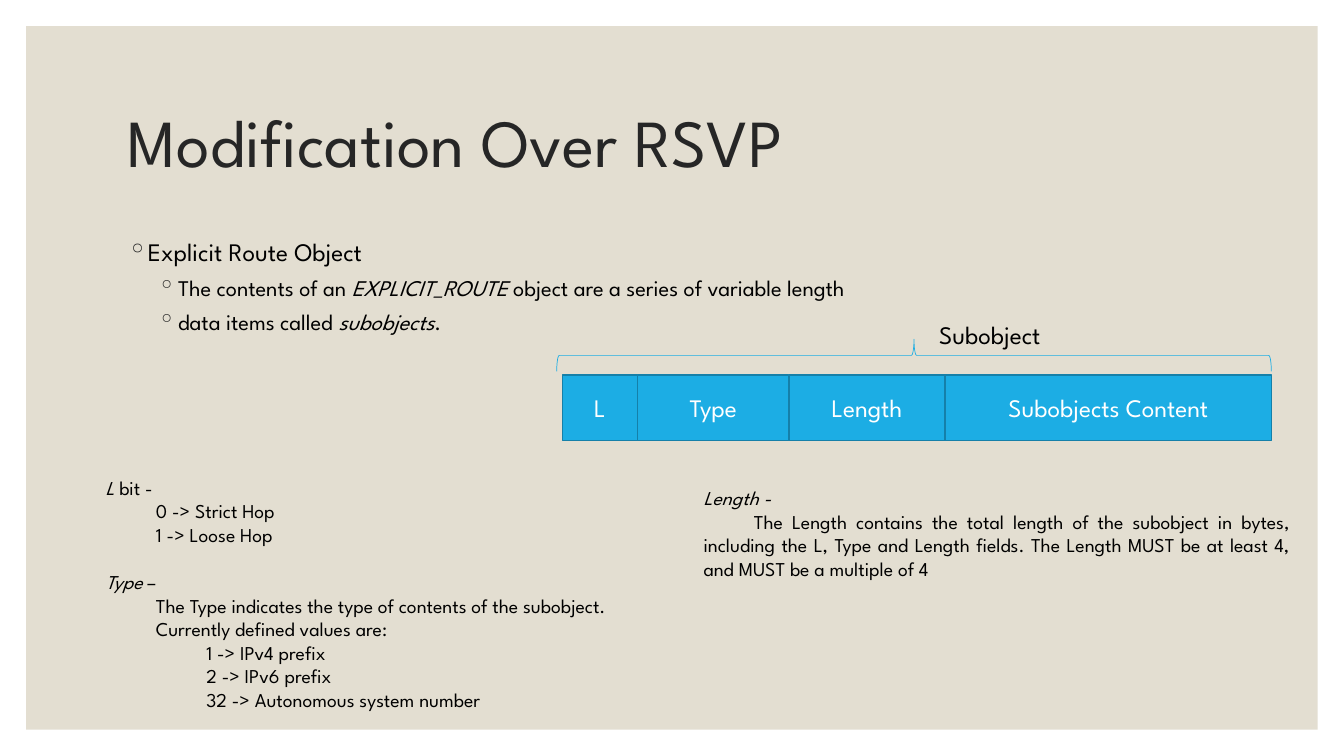
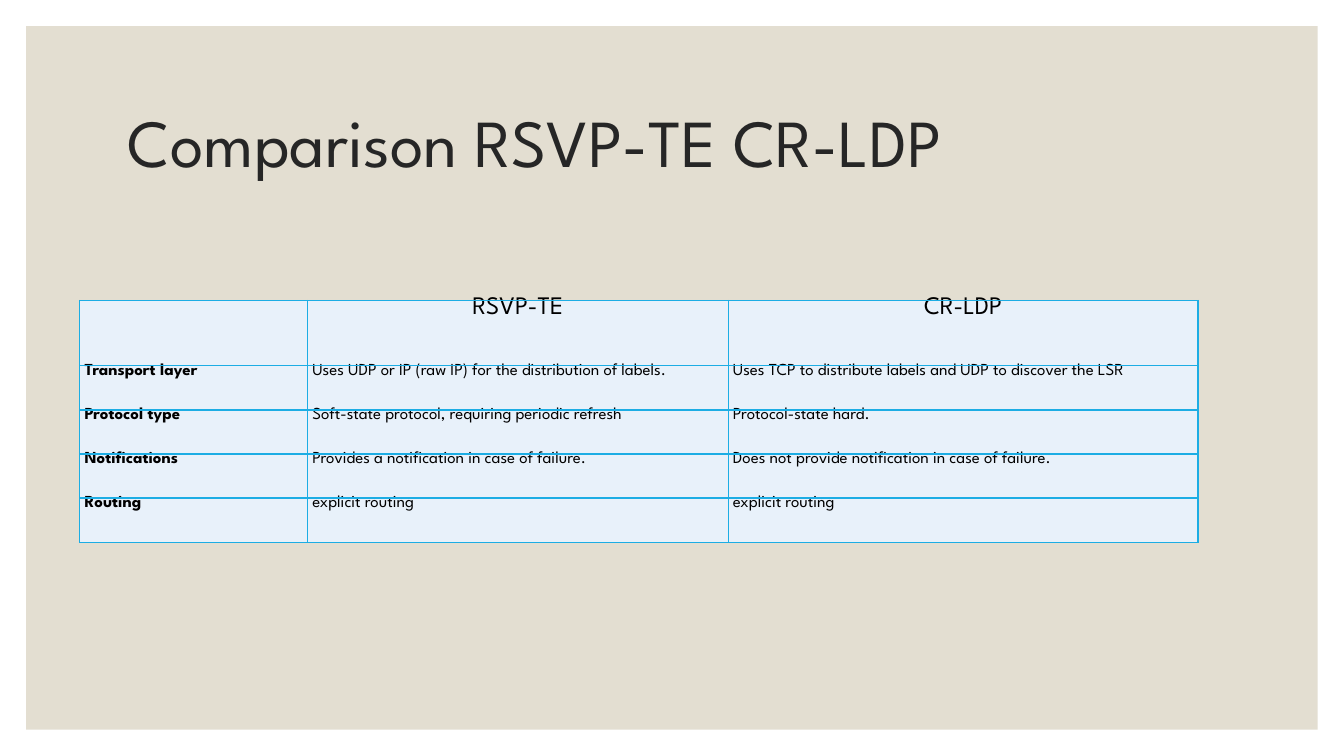
from dataclasses import dataclass

from lxml.etree import SubElement
from pptx import Presentation
from pptx.dml.color import RGBColor as RGB
from pptx.enum.shapes import MSO_SHAPE as Shape
from pptx.enum.text import MSO_ANCHOR as Anchor, MSO_AUTO_SIZE as AutoSize, PP_ALIGN as Align
from pptx.oxml.ns import qn
from pptx.util import Cm, Pt

FONT = "League Spartan"
COLORS = {"panel": "E3DED1", "title": "262626", "text": "000000", "white": "FFFFFF",
          "accent": "1CADE4", "edge": "1580A9", "cell": "E8F1FA"}
WIDTH, HEIGHT, MARGIN = 33.87, 19.05, 0.66
STEP = 1.27


@dataclass
class Line:
    text: str
    size: float = 14
    left: float = 0
    first: float = 0
    before: float = 0
    align: Align = Align.LEFT
    bullet: bool = False


@dataclass
class Field:
    name: str
    width: float


BODY = [
    Line("Explicit Route Object", 18, 0.51, -0.51, bullet=True),
    Line("The contents of an *EXPLICIT_ROUTE* object are a series of variable length",
         16, STEP, -0.51, 5, bullet=True),
    Line("data items called *subobjects*.", 16, STEP, -0.51, 5, bullet=True),
]
FIELDS = [Field("L", 1.9), Field("Type", 3.81), Field("Length", 3.94),
          Field("Subobjects Content", 8.23)]
L_AND_TYPE = [
    Line("*L* bit -", left=STEP),
    Line("0 -> Strict Hop", left=2 * STEP),
    Line("1 -> Loose Hop", left=2 * STEP),
    Line("*Type* –", left=STEP, before=17),
    Line("The Type indicates the type of contents of the subobject.", left=2 * STEP),
    Line("Currently defined values are:", left=2 * STEP),
    Line("1 -> IPv4 prefix", left=3 * STEP),
    Line("2 -> IPv6 prefix", left=3 * STEP),
    Line("32 -> Autonomous system number", left=3 * STEP),
]
LENGTH = [
    Line("*Length -*"),
    Line("The Length contains the total length of the subobject in bytes, including the L, "
         "Type and Length fields. The Length MUST be at least 4, and MUST be a multiple of 4",
         first=STEP, align=Align.JUSTIFY),
]
COMPARISON = [
    ("", "RSVP-TE", "CR-LDP"),
    ("Transport layer", "Uses UDP or IP (raw IP) for the distribution of labels.",
     "Uses TCP to distribute labels and UDP to discover the LSR"),
    ("Protocol type", "Soft-state protocol, requiring periodic refresh",
     "Protocol-state hard."),
    ("Notifications", "Provides a notification in case of failure.",
     "Does not provide notification in case of failure."),
    ("Routing", "explicit routing", "explicit routing"),
]


def color(name: str) -> RGB:
    return RGB.from_string(COLORS[name])


def add_bullet(pPr) -> None:
    clr = SubElement(SubElement(pPr, qn("a:buClr")), qn("a:srgbClr"))
    clr.set("val", COLORS["title"])
    SubElement(pPr, qn("a:buChar")).set("char", "◦")


def write(tf, lines: list[Line], *, fill: str = "text", bold: bool = False,
          spacing: float | None = None) -> None:
    """Fill a text frame; asterisks enclose italic text."""
    for i, line in enumerate(lines):
        p = tf.add_paragraph() if i else tf.paragraphs[0]
        pPr = p._p.get_or_add_pPr()
        pPr.set("marL", str(Cm(line.left)))
        pPr.set("indent", str(Cm(line.first)))
        if line.bullet:
            add_bullet(pPr)
        p.alignment = line.align
        p.space_before = Pt(line.before)
        if spacing:
            p.line_spacing = spacing
        for j, text in enumerate(line.text.split("*")):
            if text:
                r = p.add_run()
                r.text = text
                r.font.name, r.font.size = FONT, Pt(line.size)
                r.font.bold, r.font.italic = bold, j % 2 == 1
                r.font.color.rgb = color(fill)


def add_text(s, left: float, top: float, width: float, height: float,
             lines: list[Line]) -> None:
    tf = s.shapes.add_textbox(Cm(left), Cm(top), Cm(width), Cm(height)).text_frame
    tf.word_wrap = True
    write(tf, lines)


def add_shape(s, kind: Shape, left: float, top: float, width: float, height: float, *,
              fill: str | None = None, line: str | None = None, weight: float = 1):
    sp = s.shapes.add_shape(kind, Cm(left), Cm(top), Cm(width), Cm(height))
    sp.shadow.inherit = False
    if fill:
        sp.fill.solid()
        sp.fill.fore_color.rgb = color(fill)
    else:
        sp.fill.background()
    if line:
        sp.line.color.rgb = color(line)
        sp.line.width = Pt(weight)
    else:
        sp.line.fill.background()
    return sp


def add_slide(prs, title: str):
    s = prs.slides.add_slide(prs.slide_layouts[5])
    sp = s.shapes.title
    panel = add_shape(s, Shape.RECTANGLE, MARGIN, MARGIN,
                      WIDTH - 2 * MARGIN, HEIGHT - 2 * MARGIN, fill="panel")
    sp.element.addprevious(panel.element)
    sp.left, sp.top, sp.width, sp.height = Cm(2.97), Cm(1.78), Cm(27.94), Cm(3.81)
    tf = sp.text_frame
    tf.word_wrap, tf.auto_size = True, AutoSize.NONE
    tf.vertical_anchor = Anchor.MIDDLE
    write(tf, [Line(title, 48)], fill="title", spacing=0.9)
    return s


def add_fields(s, left: float, top: float, height: float) -> None:
    for field in FIELDS:
        sp = add_shape(s, Shape.RECTANGLE, left, top, field.width, height,
                       fill="accent", line="edge")
        sp.text_frame.vertical_anchor = Anchor.MIDDLE
        write(sp.text_frame, [Line(field.name, 18, align=Align.CENTER)], fill="white")
        left += field.width


def add_borders(cell) -> None:
    tcPr = cell._tc.get_or_add_tcPr()
    for side in ("lnL", "lnR", "lnT", "lnB"):
        ln = SubElement(tcPr, qn(f"a:{side}"))
        ln.set("w", str(Pt(1)))
        SubElement(SubElement(ln, qn("a:solidFill")),
                   qn("a:srgbClr")).set("val", COLORS["accent"])


def add_comparison(s) -> None:
    widths, heights = (5.74, 10.6, 11.84), (1.65, 1.11, 1.11, 1.11, 1.11)
    table = s.shapes.add_table(len(heights), len(widths), Cm(2.01), Cm(7.57),
                               Cm(sum(widths)), Cm(sum(heights))).table
    table.first_row = table.horz_banding = False
    for column, width in zip(table.columns, widths):
        column.width = Cm(width)
    for i, (row, texts) in enumerate(zip(table.rows, COMPARISON)):
        row.height = Cm(heights[i])
        size, align = (12, Align.JUSTIFY) if i else (18, Align.CENTER)
        for j, (cell, text) in enumerate(zip(row.cells, texts)):
            cell.margin_left = cell.margin_right = Cm(0.12)
            cell.margin_top = cell.margin_bottom = 0
            add_borders(cell)
            cell.fill.solid()
            cell.fill.fore_color.rgb = color("cell")
            write(cell.text_frame, [Line(text, size, align=align)],
                  bold=j == 0, spacing=0.76)


def build_modification(prs) -> None:
    s = add_slide(prs, "Modification Over RSVP")
    add_text(s, 2.97, 5.84, 27.94, 3.43, BODY)
    add_fields(s, 14.17, 9.45, 1.65)
    add_text(s, 1.14, 11.86, 16.94, 6.25, L_AND_TYPE)
    add_text(s, 17.48, 12.12, 15.29, 2.64, LENGTH)
    brace = add_shape(s, Shape.RIGHT_BRACE, 22.63, -0.05, 0.81, 18.01,
                      line="accent", weight=0.5)
    brace.adjustments[0], brace.adjustments[1] = 0.08, 0.5
    brace.rotation = 270
    add_text(s, 23.42, 7.92, 4.5, 1.02, [Line("Subobject", 18)])


def main() -> None:
    prs = Presentation()
    prs.slide_width, prs.slide_height = Cm(WIDTH), Cm(HEIGHT)
    build_modification(prs)
    add_comparison(add_slide(prs, "Comparison RSVP-TE CR-LDP"))
    prs.save("out.pptx")


if __name__ == "__main__":
    main()
